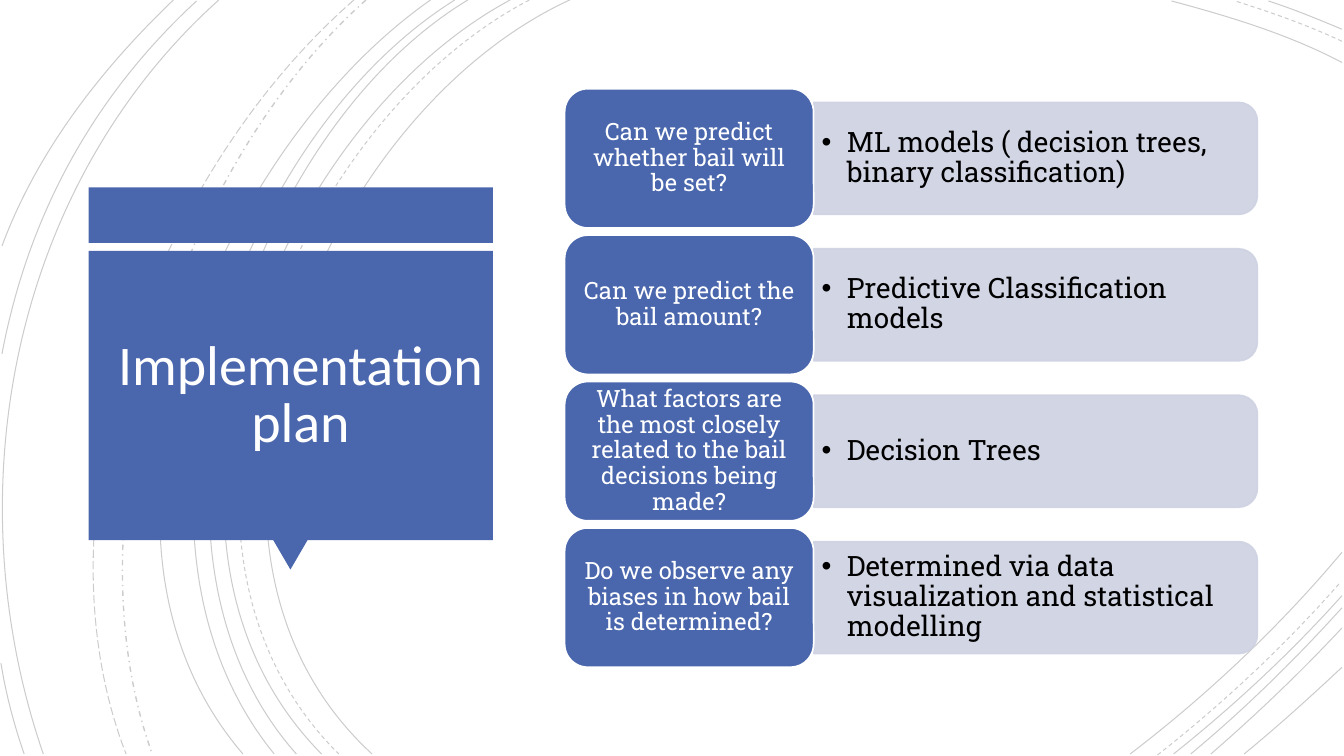
"""Build the implementation plan slide."""
import pptx
import pptx.util
import pptx.dml.color
import pptx.enum.dml
import pptx.enum.shapes
import pptx.enum.text
import pptx.oxml
import pptx.oxml.ns
import lxml.etree

Inches = pptx.util.Inches
Pt = pptx.util.Pt
RGBColor = pptx.dml.color.RGBColor
Shape = pptx.enum.shapes.MSO_SHAPE
Dash = pptx.enum.dml.MSO_LINE
Align = pptx.enum.text.PP_ALIGN
qn = pptx.oxml.ns.qn

BLUE = RGBColor(0x4A, 0x66, 0xAC)
PALE = RGBColor(0xCE, 0xD2, 0xE2)
WHITE = RGBColor(0xFF, 0xFF, 0xFF)
CREAM = RGBColor(0xFF, 0xFE, 0xFF)
BLACK = RGBColor(0, 0, 0)

SOLID_ARCS = [
    (5.65, 0, 3.15, 1.15, 1.43, 5.4, 3.69, 7.48),
    (13.31, 0.62, 12.78, 0.34, 12.18, 0.16, 11.62, 0.01),
    (11.21, 7.48, 11.97, 6.9, 12.69, 6.22, 13.31, 5.48),
    (5.06, 0, 2.7, 1.27, 1.1, 5.37, 3.19, 7.48),
    (13.31, 0.29, 13.07, 0.19, 12.83, 0.09, 12.58, 0.01),
    (11.64, 7.48, 12.23, 7.01, 12.8, 6.48, 13.31, 5.91),
    (4.64, 0, 2.44, 1.33, 1.1, 5.41, 2.94, 7.48),
    (11.81, 7.48, 12.34, 7.04, 12.84, 6.55, 13.31, 6.03),
    (4.51, 0, 2.31, 1.38, 0.97, 5.33, 2.72, 7.48),
    (12.01, 7.48, 12.46, 7.09, 12.9, 6.67, 13.31, 6.23),
    (4.27, 0, 2.17, 1.47, 0.53, 5.29, 2.41, 7.48),
    (12.34, 7.48, 12.67, 7.21, 12.99, 6.92, 13.31, 6.62),
    (2.17, 0, 0.11, 1.85, -0.46, 4.9, 0.43, 7.48),
    (1.95, 0.01, 0.92, 0.96, 0.28, 2.14, 0.02, 3.51),
    (0.01, 6.58, 0.06, 6.89, 0.14, 7.19, 0.24, 7.48),
    (1.72, 0, 1, 0.69, 0.37, 1.5, 0.02, 2.44),
]
DASH_ARCS = [
    (5.25, 0, 2.85, 1.25, 1.23, 5.37, 3.36, 7.48),
    (13.31, 0.41, 12.97, 0.25, 12.6, 0.12, 12.25, 0.01),
    (11.48, 7.49, 12.13, 6.98, 12.75, 6.4, 13.3, 5.77),
]
DOT_ARCS = [(3.63, 0, 1.76, 1.66, 0.65, 5.09, 1.51, 7.48)]
LONG_ARCS = [(3.51, 0, 1.57, 1.69, 0.29, 4.99, 1.25, 7.48)]
ARC_SETS = [
    (SOLID_ARCS, Dash.SOLID, 0.75),
    (DASH_ARCS, Dash.DASH, 0.75),
    (DOT_ARCS, Dash.DASH_DOT, 1),
    (LONG_ARCS, Dash.LONG_DASH, 0.75),
]

PLAN = [
    ("Can we predict whether bail will be set?",
     "ML models ( decision trees, binary classification)"),
    ("Can we predict the bail amount?",
     "Predictive Classification models"),
    ("What factors are the most closely related to the bail decisions being made?",
     "Decision Trees"),
    ("Do we observe any biases in how bail is determined?",
     "Determined via data visualization and statistical modelling"),
]


def fade(shape, percent):
    """Set the opacity of every colour in the shape's fill and line."""
    for color in shape._element.spPr.iter(qn("a:srgbClr")):
        lxml.etree.SubElement(color, qn("a:alpha"), val=str(percent * 1000))


def add_block(slide, kind, left, top, width, height, fill, edge=None):
    """Add a filled preset shape with an optional edge colour."""
    block = slide.shapes.add_shape(
        kind, Inches(left), Inches(top), Inches(width), Inches(height))
    block.shadow.inherit = False
    block.fill.solid()
    block.fill.fore_color.rgb = fill
    if edge is None:
        block.line.fill.background()
    else:
        block.line.color.rgb = edge
        block.line.width = Pt(1.25)
    return block


def add_label(slide, left, top, width, height):
    """Add an empty text box."""
    return slide.shapes.add_textbox(
        Inches(left), Inches(top), Inches(width), Inches(height))


def write(shape, text, font, size, color, align, inset, space):
    """Put one formatted paragraph in the shape and return it."""
    frame = shape.text_frame
    frame.text = text
    frame.word_wrap = True
    frame.vertical_anchor = pptx.enum.text.MSO_ANCHOR.MIDDLE
    frame.margin_left = frame.margin_right = Inches(inset[0])
    frame.margin_top = frame.margin_bottom = Inches(inset[1])
    para = frame.paragraphs[0]
    para.alignment = align
    para.line_spacing = space
    run = para.runs[0]
    run.font.name = font
    run.font.size = Pt(size)
    run.font.color.rgb = color
    return para


def add_bullet(para):
    """Give the paragraph a hanging round bullet."""
    props = para._p.get_or_add_pPr()
    props.set("marL", str(Inches(0.25)))
    props.set("indent", str(Inches(-0.25)))
    lxml.etree.SubElement(props, qn("a:buFont"), typeface="Arial")
    lxml.etree.SubElement(props, qn("a:buChar"), char="•")


def add_curve(slide, arc):
    """Add an open cubic curve through its start, two handles and end."""
    points = [(Inches(x), Inches(y)) for x, y in zip(arc[0::2], arc[1::2])]
    pen = slide.shapes.build_freeform(*points[0])
    pen.add_line_segments(points[1:], close=False)
    curve = pen.convert_to_shape()
    route = next(curve._element.spPr.iter(qn("a:path")))
    cubic = lxml.etree.SubElement(route, qn("a:cubicBezTo"))
    for line in route.findall(qn("a:lnTo")):
        cubic.append(line[0])
        route.remove(line)
    return curve


def draw_arcs(slide):
    """Draw the faint sweeping lines behind the content."""
    for arcs, dash, weight in ARC_SETS:
        for arc in arcs:
            curve = add_curve(slide, arc)
            curve.shadow.inherit = False
            curve.fill.background()
            curve.line.color.rgb = BLACK
            curve.line.width = Pt(weight)
            curve.line.dash_style = dash
            fade(curve, 20)


def draw_title(slide, left, top, width, height):
    """Draw the title banner with its strip, body and pointer."""
    strip, gap, tip, lap = 0.55, 0.08, 0.3, 0.01
    body_top = top + strip + gap
    body = height - strip - gap - tip + lap
    add_block(slide, Shape.RECTANGLE, left, top, width, strip, BLUE)
    arrow = add_block(slide, Shape.ISOSCELES_TRIANGLE, left + width / 2 - 0.18,
                      top + height - tip, 0.35, tip, BLUE)
    arrow.rotation = 180
    add_block(slide, Shape.RECTANGLE, left, body_top, width, body, BLUE)
    label = add_label(slide, left - 0.04, body_top + 0.08, 4.28, body - 0.14)
    write(label, "Implementation plan", "Calibri", 40, CREAM,
          Align.CENTER, (0.25, 0.25), 0.85)


def draw_row(slide, left, top, width, height, question, answer):
    """Draw one question tile and the answer bar beside it."""
    tile = 2.47
    bar, deep = width - tile, 1.11
    mid_x, mid_y = left + tile + bar / 2, top + height / 2
    panel = add_block(slide, Shape.ROUND_2_SAME_RECTANGLE, mid_x - deep / 2,
                      mid_y - bar / 2, deep, bar, PALE, PALE)
    panel.rotation = 90
    fade(panel, 90)
    label = add_label(slide, left + tile, mid_y - 0.5, bar - 0.06, 1)
    add_bullet(write(label, answer, "Roboto Slab", 20, BLACK,
                     Align.LEFT, (0.08, 0.04), 0.9))
    box = add_block(slide, Shape.ROUNDED_RECTANGLE, left, top, tile, height, BLUE, WHITE)
    write(box, question, "Roboto Slab", 17, WHITE, Align.CENTER, (0.07, 0.04), 0.9)


def draw_plan(slide, left, top, width, height):
    """Stack the plan rows evenly in the given box."""
    gap = 0.07
    tall = (height + gap) / len(PLAN) - gap
    for index, (question, answer) in enumerate(PLAN):
        draw_row(slide, left, top + index * (tall + gap), width, tall, question, answer)


def main():
    """Build and save the slide."""
    deck = pptx.Presentation()
    deck.slide_width, deck.slide_height = Inches(13.33), Inches(7.5)
    slide = deck.slides.add_slide(deck.slide_layouts[6])
    draw_arcs(slide)
    draw_title(slide, 0.88, 1.86, 4.01, 3.79)
    draw_plan(slide, 5.6, 0.88, 6.87, 5.74)
    deck.save("out.pptx")


if __name__ == "__main__":
    main()
